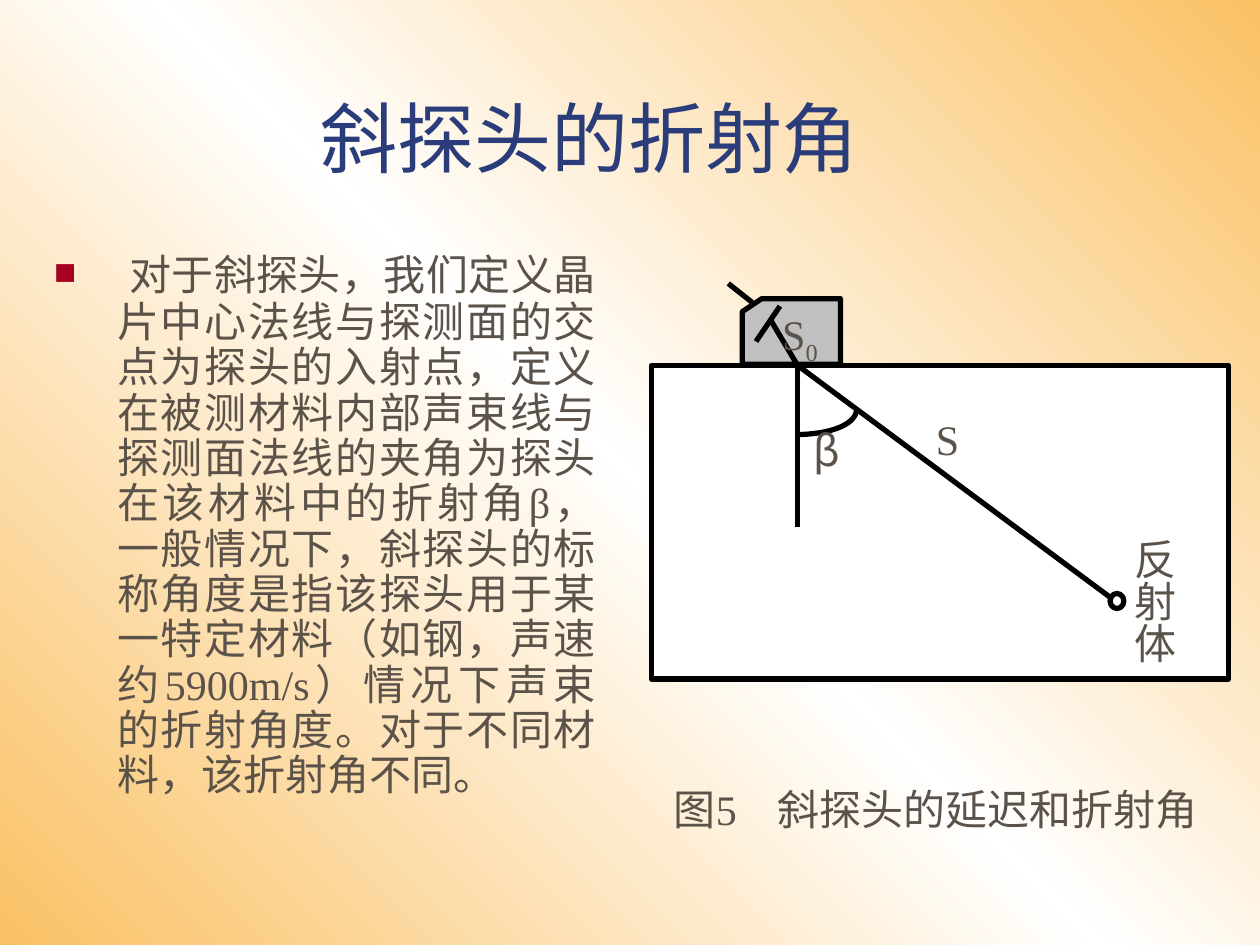
from lxml import etree
from pptx import Presentation
from pptx.dml.color import RGBColor
from pptx.enum import shapes, text
from pptx.oxml import parse_xml
from pptx.oxml.ns import nsdecls, qn
from pptx.util import Inches, Pt

COLORS = {"title": "2A3D7A", "text": "5B5249", "bullet": "A50021", "line": "000000",
          "block": "FFFFFF", "probe": "C0C0C0", "edge": "FAC164", "middle": "FFFFFF"}
LATIN, CJK = "Times New Roman", "Noto Sans CJK SC"


def write(shape, runs, color="text", font=LATIN, align=text.PP_ALIGN.JUSTIFY):
    """Fill the first paragraph with (text, size) runs and return it."""
    frame = shape.text_frame
    settings = {"word_wrap": True, "auto_size": text.MSO_AUTO_SIZE.NONE,
                "margin_left": Inches(0.1), "margin_right": Inches(0.1),
                "margin_top": Inches(0.05), "margin_bottom": Inches(0.05)}
    for name, value in settings.items():
        setattr(frame, name, value)
    paragraph = frame.paragraphs[0]
    paragraph.alignment = align
    paragraph.space_before = Pt(0)
    for words, size in runs:
        run = paragraph.add_run()
        run.text = words
        run.font.size = Pt(size)
        run.font.name = font
        run.font.color.rgb = RGBColor.from_string(COLORS[color])
        east_asian = etree.SubElement(run.font._element, qn("a:ea"))
        east_asian.set("typeface", CJK)
    return paragraph


def outline(shape, fill=None):
    """Give a shape a 3 pt line, a flat fill or none, and no shadow."""
    shape.shadow.inherit = False
    shape.line.color.rgb = RGBColor.from_string(COLORS["line"])
    shape.line.width = Pt(3)
    if fill:
        shape.fill.solid()
        shape.fill.fore_color.rgb = RGBColor.from_string(COLORS[fill])
    else:
        shape.fill.background()


presentation = Presentation()
presentation.slide_width, presentation.slide_height = Inches(10), Inches(7.5)
slide = presentation.slides.add_slide(presentation.slide_layouts[1])

# Diagonal background gradient
stops = "".join(
    f'<a:gs pos="{position}"><a:srgbClr val="{COLORS[name]}"/></a:gs>'
    for position, name in ((0, "edge"), (50000, "middle"), (100000, "edge")))
slide._element.cSld.insert(0, parse_xml(
    f'<p:bg {nsdecls("p", "a")}><p:bgPr><a:gradFill rotWithShape="1"><a:gsLst>{stops}</a:gsLst>'
    '<a:lin ang="8100000" scaled="0"/></a:gradFill><a:effectLst/></p:bgPr></p:bg>'))

# Title and definition
title, body = slide.shapes.title, slide.placeholders[1]
for placeholder, box in ((title, (0.67, 0.25, 8.5, 1.25)), (body, (0.33, 1.92, 4.5, 4.88))):
    placeholder.left, placeholder.top, placeholder.width, placeholder.height = map(Inches, box)
heading = write(title, [("斜探头的折射角", 44)], "title", align=text.PP_ALIGN.LEFT)
heading._p.get_or_add_pPr().set("marL", str(Inches(1.77)))
title.text_frame.vertical_anchor = text.MSO_ANCHOR.BOTTOM

definition = write(body, [
    (" ", 28),
    ("对于斜探头，我们定义晶片中心法线与探测面的交点为探头的入射点，"
     "定义在被测材料内部声束线与探测面法线的夹角为探头在该材料中的折射角β，"
     "一般情况下，斜探头的标称角度是指该探头用于某一特定材料"
     "（如钢，声速约5900m/s）情况下声束的折射角度。"
     "对于不同材料，该折射角不同。", 24)])
definition.line_spacing = 0.9
properties = definition._p.get_or_add_pPr()
properties.set("marL", str(Inches(0.5)))
properties.set("indent", str(-Inches(0.5)))
for bullet in (f'<a:buClr {nsdecls("a")}><a:srgbClr val="{COLORS["bullet"]}"/></a:buClr>',
               f'<a:buSzPct {nsdecls("a")} val="75000"/>',
               f'<a:buFont {nsdecls("a")} typeface="{LATIN}"/>',
               f'<a:buChar {nsdecls("a")} char="■"/>'):
    properties.append(parse_xml(bullet))

# Test block and probe
preset = shapes.MSO_SHAPE
for kind, box, fill in ((preset.RECTANGLE, (5.17, 2.9, 4.58, 2.49), "block"),
                        (preset.FLOWCHART_CARD, (5.89, 2.37, 0.78, 0.52), "probe")):
    outline(slide.shapes.add_shape(kind, *map(Inches, box)), fill)

# Cable, crystal and sound paths through the entry point
entry = (6.33, 2.9)
for start, end in (((5.78, 2.25), (5.97, 2.4)),
                   ((6, 2.71), (6.19, 2.43)),
                   ((6.11, 2.53), entry),
                   (entry, (6.33, 4.18)),
                   (entry, (8.81, 4.74))):
    connector = slide.shapes.add_connector(
        shapes.MSO_CONNECTOR.STRAIGHT, *map(Inches, start + end))
    connector.line.color.rgb = RGBColor.from_string(COLORS["line"])
    connector.line.width = Pt(3)
    etree.SubElement(connector._element.spPr, qn("a:effectLst"))

reflector = slide.shapes.add_shape(
    preset.OVAL, Inches(8.81), Inches(4.71), Inches(0.11), Inches(0.12))
outline(reflector, "block")

# Refraction angle: a cubic curve sampled at equal steps
controls = ((6.34, 3.45), (6.63, 3.44), (6.79, 3.36), (6.8, 3.25))
steps = 20
curve = []
for step in range(steps + 1):
    t = step / steps
    weights = ((1 - t) ** 3, 3 * t * (1 - t) ** 2, 3 * t ** 2 * (1 - t), t ** 3)
    curve.append(tuple(
        Inches(sum(weight * point[axis] for weight, point in zip(weights, controls)))
        for axis in (0, 1)))
builder = slide.shapes.build_freeform(*curve[0])
builder.add_line_segments(curve[1:], close=False)
outline(builder.convert_to_shape())

# Labels
labels = {}
for name, box, runs, font in (
        ("reflector", (8.74, 4.14, 0.67, 1.53), [(" ", 10), ("反射体", 24)], LATIN),
        ("path", (7.33, 3.23, 1, 0.64), [("S", 24)], LATIN),
        ("delay", (6.11, 2.4, 0.92, 0.64), [("S", 24), ("0", 24)], LATIN),
        ("angle", (6.36, 3.32, 1, 1.06), [("β", 24)], CJK),
        ("caption", (5.25, 6.17, 4.42, 0.5), [("图5\t斜探头的延迟和折射角", 24)], LATIN)):
    label = slide.shapes.add_textbox(*map(Inches, box))
    labels[name] = (label, write(label, runs, font=font))

labels["delay"][1].runs[1].font._element.set("baseline", "-25000")

vertical = labels["reflector"][0].text_frame
vertical._txBody.bodyPr.set("vert", "eaVert")
vertical.margin_left = vertical.margin_right = Inches(0.05)
vertical.margin_top = vertical.margin_bottom = Inches(0.1)

caption = labels["caption"][1]
caption.alignment = text.PP_ALIGN.LEFT
caption._p.get_or_add_pPr().append(parse_xml(
    f'<a:tabLst {nsdecls("a")}><a:tab pos="{Inches(0.82)}" algn="l"/></a:tabLst>'))

presentation.save("out.pptx")
